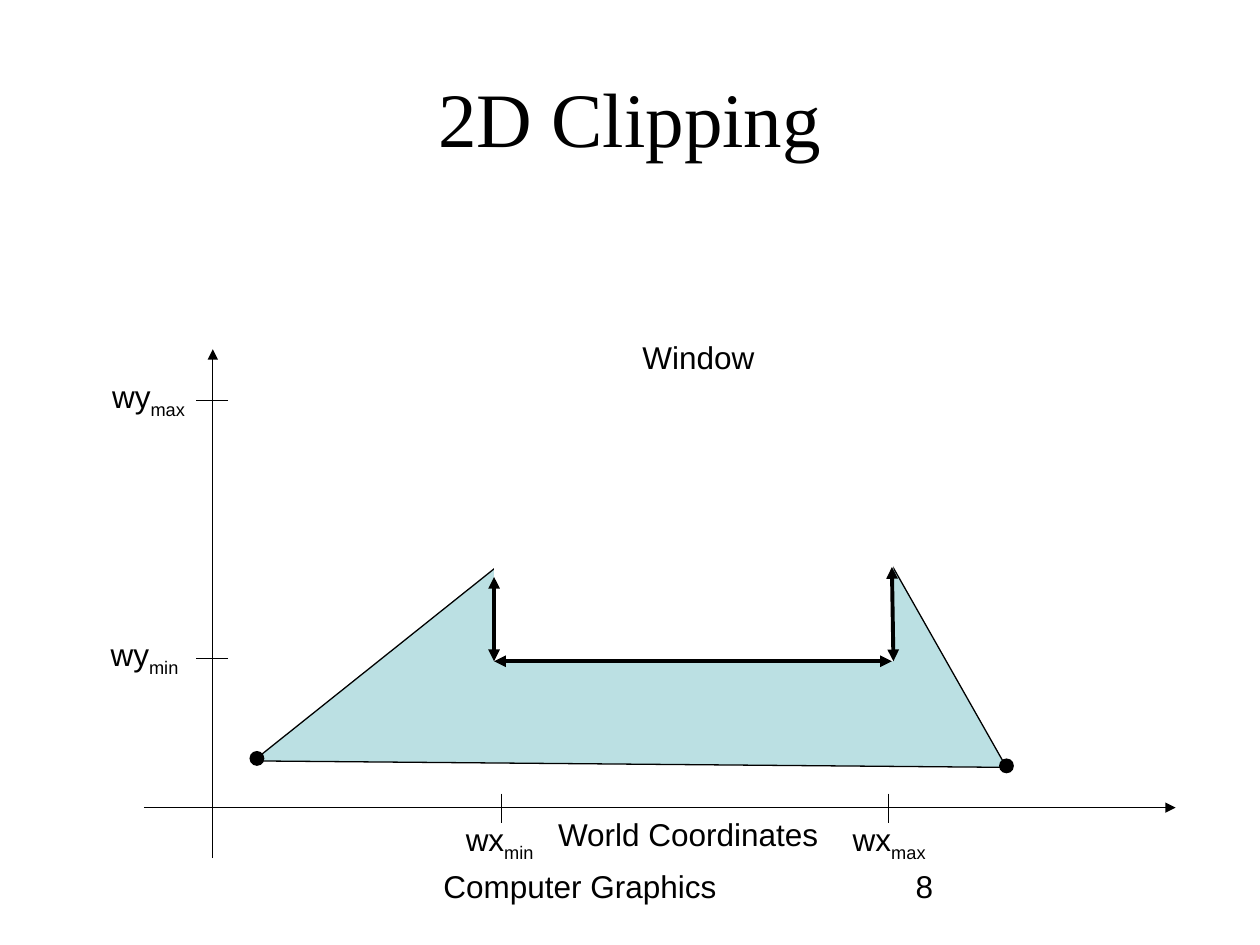
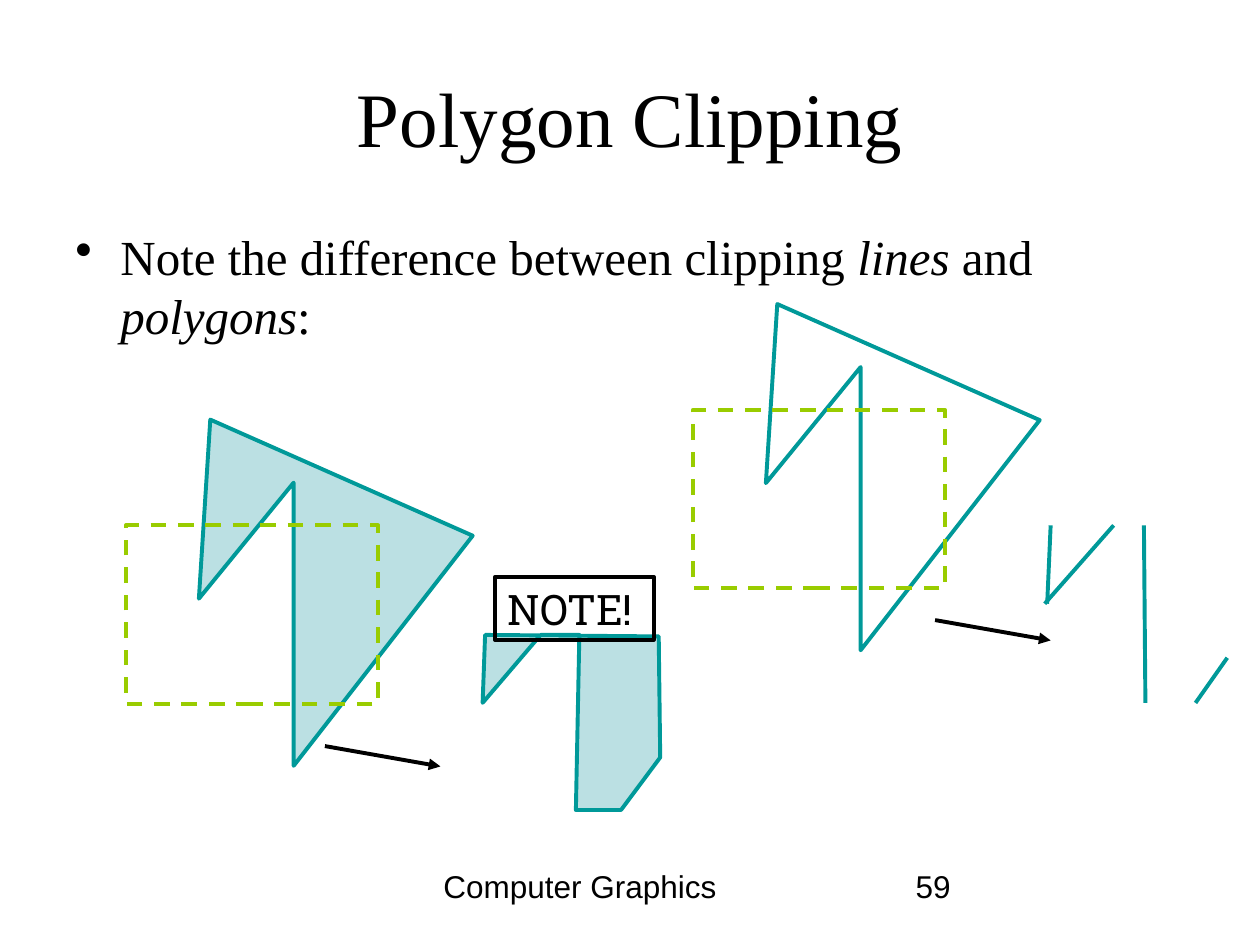
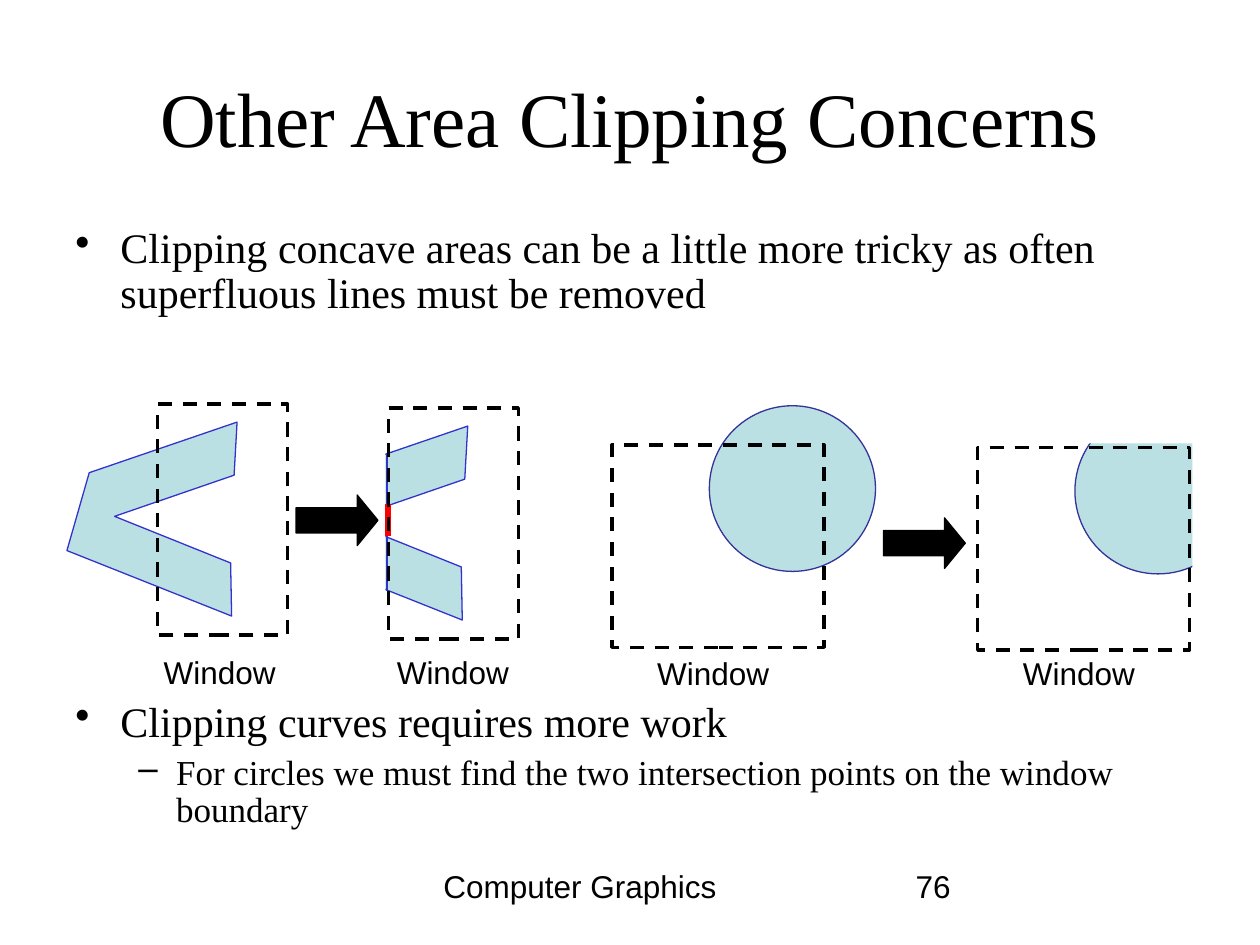
"""Build three slides on clipping lines, polygons and circles."""
import lxml.etree
import pptx
import pptx.dml.color
import pptx.enum.dml
import pptx.enum.shapes
import pptx.enum.text
import pptx.oxml.ns
import pptx.util

BLACK = pptx.dml.color.RGBColor(0x00, 0x00, 0x00)
WHITE = pptx.dml.color.RGBColor(0xFF, 0xFF, 0xFF)
PALE = pptx.dml.color.RGBColor(0xBB, 0xE0, 0xE3)
TEAL = pptx.dml.color.RGBColor(0x00, 0x99, 0x99)
LIME = pptx.dml.color.RGBColor(0x99, 0xCC, 0x00)
BLUE = pptx.dml.color.RGBColor(0x33, 0x33, 0xCC)
NAVY = pptx.dml.color.RGBColor(0x33, 0x33, 0x99)
RED = pptx.dml.color.RGBColor(0xFF, 0x00, 0x00)

RECT = pptx.enum.shapes.MSO_SHAPE.RECTANGLE
OVAL = pptx.enum.shapes.MSO_SHAPE.OVAL
ARROW = pptx.enum.shapes.MSO_SHAPE.RIGHT_ARROW
TOP = pptx.enum.text.MSO_ANCHOR.TOP
MIDDLE = pptx.enum.text.MSO_ANCHOR.MIDDLE
LEFT = {"alignment": pptx.enum.text.PP_ALIGN.LEFT}
CENTER = {"alignment": pptx.enum.text.PP_ALIGN.CENTER}

SERIF = "Times New Roman"
TITLE = {"font": {"name": SERIF, "size": pptx.util.Pt(44)}, "para": CENTER}
LABEL = {"font": {"name": "Arial", "size": pptx.util.Pt(18)}, "para": LEFT}
NOTE = {"font": {"name": "Roboto Slab", "size": pptx.util.Pt(24)}, "para": LEFT}
BIG = {"font": {"name": SERIF, "size": pptx.util.Pt(28)},
       "para": {"space_before": pptx.util.Pt(7)}, "mark": ("•", 0.91, -0.91)}
POINT = {"font": {"name": SERIF, "size": pptx.util.Pt(24)},
         "para": {"space_before": pptx.util.Pt(6), "line_spacing": 0.9},
         "mark": ("•", 0.91, -0.91)}
LATER = {**POINT, "para": {"space_before": pptx.util.Pt(219), "line_spacing": 0.9}}
MINOR = {"font": {"name": SERIF, "size": pptx.util.Pt(20)},
         "para": {"space_before": pptx.util.Pt(5), "line_spacing": 0.9, "level": 1},
         "mark": ("–", 2.03, -0.76)}
ITALIC = {"italic": True}
BODY = (1.27, 4.45, 22.86, 12.57)


def draw(slide, kind, place, fill=None, line=None, wide=0.75, dash=False, ends=()):
    """Add a line, outline, text box or preset shape, measured in cm."""
    if kind == "poly":
        dots = [(pptx.util.Cm(x), pptx.util.Cm(y)) for x, y in place]
        pen = slide.shapes.build_freeform(*dots[0], scale=1.0)
        shape = pen.add_line_segments(dots[1:], close=True).convert_to_shape()
    else:
        box = [pptx.util.Cm(num) for num in place]
        if kind == "line":
            shape = slide.shapes.add_connector(pptx.enum.shapes.MSO_CONNECTOR.STRAIGHT, *box)
        elif kind == "text":
            shape = slide.shapes.add_textbox(*box)
        else:
            shape = slide.shapes.add_shape(kind, *box)
    if fill is not None:
        shape.fill.solid()
        shape.fill.fore_color.rgb = fill
    elif kind != "line":
        shape.fill.background()
    if line is not None:
        shape.line.color.rgb = line
        shape.line.width = pptx.util.Pt(wide)
        if dash:
            shape.line.dash_style = pptx.enum.dml.MSO_LINE.DASH
    else:
        shape.line.fill.background()
    props = shape._element.spPr
    for end in ends:
        lxml.etree.SubElement(props.find(pptx.oxml.ns.qn("a:ln")),
                              pptx.oxml.ns.qn("a:" + end), type="triangle")
    lxml.etree.SubElement(props, pptx.oxml.ns.qn("a:effectLst"))
    return shape


def write(shape, rows, wrap=True, anchor=TOP):
    """Fill a shape with rows of (style, {text: extra font values})."""
    frame = shape.text_frame
    frame.word_wrap = wrap
    frame.vertical_anchor = anchor
    for num, (style, runs) in enumerate(rows):
        para = frame.add_paragraph() if num else frame.paragraphs[0]
        for key, val in style["para"].items():
            setattr(para, key, val)
        if "mark" in style:
            char, left, hang = style["mark"]
            props = para._p.get_or_add_pPr()
            props.set("marL", str(pptx.util.Cm(left)))
            props.set("indent", str(pptx.util.Cm(hang)))
            lxml.etree.SubElement(props, pptx.oxml.ns.qn("a:buChar"), char=char)
        for text, extra in runs.items():
            run = para.add_run()
            run.text = text
            run.font.color.rgb = BLACK
            for key, val in {**style["font"], **extra}.items():
                setattr(run.font, key, val)
    return frame


deck = pptx.Presentation()
deck.slide_width = pptx.util.Cm(25.4)
deck.slide_height = pptx.util.Cm(19.05)
slides = []
for title, page in (("2D Clipping", "8"), ("Polygon Clipping", "59"),
                    ("Other Area Clipping Concerns", "76")):
    slide = deck.slides.add_slide(deck.slide_layouts[6])
    write(draw(slide, "text", (1.27, 0.76, 22.86, 3.18)), [(TITLE, {title: {}})], anchor=MIDDLE)
    write(draw(slide, "text", (8.69, 17.35, 8.03, 1.3)), [(LABEL, {"Computer Graphics": {}})])
    write(draw(slide, "text", (18.21, 17.35, 5.89, 1.3)), [(LABEL, {page: {}})])
    slides.append(slide)
world, poly, area = slides

draw(world, "poly", [(5.11, 15.34), (11.35, 10.36), (12.55, 12.19), (13.44, 9.45),
                     (14.94, 11.02), (16.43, 8.66), (20.29, 15.47)], PALE, BLACK)
for axis in ((2.9, 16.28, 23.7, 16.28), (4.29, 17.3, 4.29, 7.04)):
    draw(world, "line", axis, line=BLACK, ends=["tailEnd"])
for y in (8.08, 13.28):
    draw(world, "line", (4.6, y, 3.96, y), line=BLACK)
for x in (10.11, 17.91):
    draw(world, "line", (x, 16, x, 16.59), line=BLACK)
for x, y, name, sub in ((2.01, 7.47, "wy", "max"), (1.98, 12.67, "wy", "min"),
                        (9.14, 16.41, "wx", "min"), (16.94, 16.41, "wx", "max")):
    wide = 1.98 if sub == "max" else 1.88
    frame = write(draw(world, "text", (x, y, wide, 1.12)), [(LABEL, {name: {}, sub: {}})], wrap=False)
    frame.paragraphs[0].runs[1]._r.get_or_add_rPr().set("baseline", "-25000")
for x, y, wide, name in ((12.7, 6.68, 2.77, "Window"), (11, 16.31, 5.77, "World Coordinates")):
    write(draw(world, "text", (x, y, wide, 1.02)), [(LABEL, {name: {}})], wrap=False)
for x, y in ((5.03, 15.14), (20.14, 15.29)):
    draw(world, OVAL, (x, y, 0.3, 0.3), BLACK)
draw(world, RECT, (9.96, 8.05, 8.05, 5.28), WHITE)
for edge in ((9.96, 11.63, 9.96, 13.33), (17.98, 11.43, 18.01, 13.33),
             (9.96, 13.33, 17.98, 13.33)):
    draw(world, "line", edge, line=BLACK, wide=2.25, ends=["headEnd", "tailEnd"])

write(draw(poly, "text", BODY), [(BIG, {
    "Note the difference between clipping ": {}, "lines": ITALIC, " and ": {},
    "polygons": ITALIC, ":": {}})])
zigzag = [(4.24, 8.46), (4.01, 12.07), (5.92, 9.73), (5.92, 15.44), (9.53, 10.8)]
for dx, dy, fill in ((0, 0, PALE), (11.43, -2.33, None)):
    draw(poly, "poly", [(x + dx, y + dy) for x, y in zigzag], fill, TEAL, 2.25)
    draw(poly, RECT, (2.54 + dx, 10.59 + dy, 5.08, 3.6), None, LIME, 2.25, True)
draw(poly, "poly", [(9.78, 12.8), (9.73, 14.17), (10.9, 12.8), (11.68, 12.8), (11.61, 16.33),
                    (12.52, 16.33), (13.31, 15.27), (13.28, 12.83)], PALE, TEAL, 2.25)
for piece in ((21.18, 10.59, 21.11, 12.17), (22.45, 10.59, 21.06, 12.17),
              (23.06, 10.59, 23.09, 14.17), (24.74, 13.26, 24.1, 14.17)):
    draw(poly, "line", piece, line=TEAL, wide=2.25)
for x, y in ((18.85, 12.5), (6.55, 15.04)):
    draw(poly, "line", (x, y, x + 2.33, y + 0.41), line=BLACK, wide=2.25, ends=["tailEnd"])
write(draw(poly, RECT, (9.98, 11.63, 3.2, 1.27), None, BLACK, 2.25),
      [(NOTE, {"NOTE!": {}})], wrap=False)

write(draw(area, "text", BODY), [
    (POINT, {"Clipping concave areas can be a little more tricky as often "
             "superfluous lines must be removed": {}}),
    (LATER, {"Clipping curves requires more work": {}}),
    (MINOR, {"For circles we must find the two intersection points on the window "
             "boundary": {}})])
for dx, dy in ((0, 0), (7.37, 0.05)):
    draw(area, OVAL, (14.3 + dx, 8.18 + dy, 3.35, 3.34), PALE, NAVY)
    draw(area, RECT, (12.34 + dx, 8.97 + dy, 4.27, 4.08), None, BLACK, 2, True)
for cover in ((19.76, 7.62, 5.18, 1.32), (24.04, 8.01, 1.32, 5.16), (5.74, 8.18, 2.03, 4.75)):
    draw(area, RECT, cover, WHITE)
wedge = [(4.78, 8.51), (4.72, 9.58), (2.31, 10.41), (4.65, 11.35),
         (4.67, 12.42), (1.35, 11.1), (1.8, 9.53)]
shifts = ((4.65, 0.08), (0, 0))
draw(area, "poly", [(x + 4.65, y + 0.08) for x, y in wedge], PALE, BLUE)
draw(area, RECT, (5.74, 8.18, 2.03, 4.75), WHITE)
draw(area, "poly", wedge, PALE, BLUE)
draw(area, "line", (7.8, 9.14, 7.8, 11.91), line=BLUE)
draw(area, "line", (7.82, 10.8, 7.82, 10.16), line=RED, wide=3)
for dx, dy in shifts:
    draw(area, RECT, (3.18 + dx, 8.15 + dy, 2.62, 4.65), None, BLACK, 2, True)
for x, y in ((17.81, 10.44), (5.97, 9.98)):
    arrow = draw(area, ARROW, (x, y, 1.65, 1.02), BLACK, BLACK)
    arrow.adjustments[1] = 0.41
for x, y in ((3.05, 13.03), (7.75, 13.03), (13, 13.06), (20.37, 13.06)):
    write(draw(area, "text", (x, y, 2.77, 1.02)), [(LABEL, {"Window": {}})], wrap=False)

deck.save("out.pptx")
